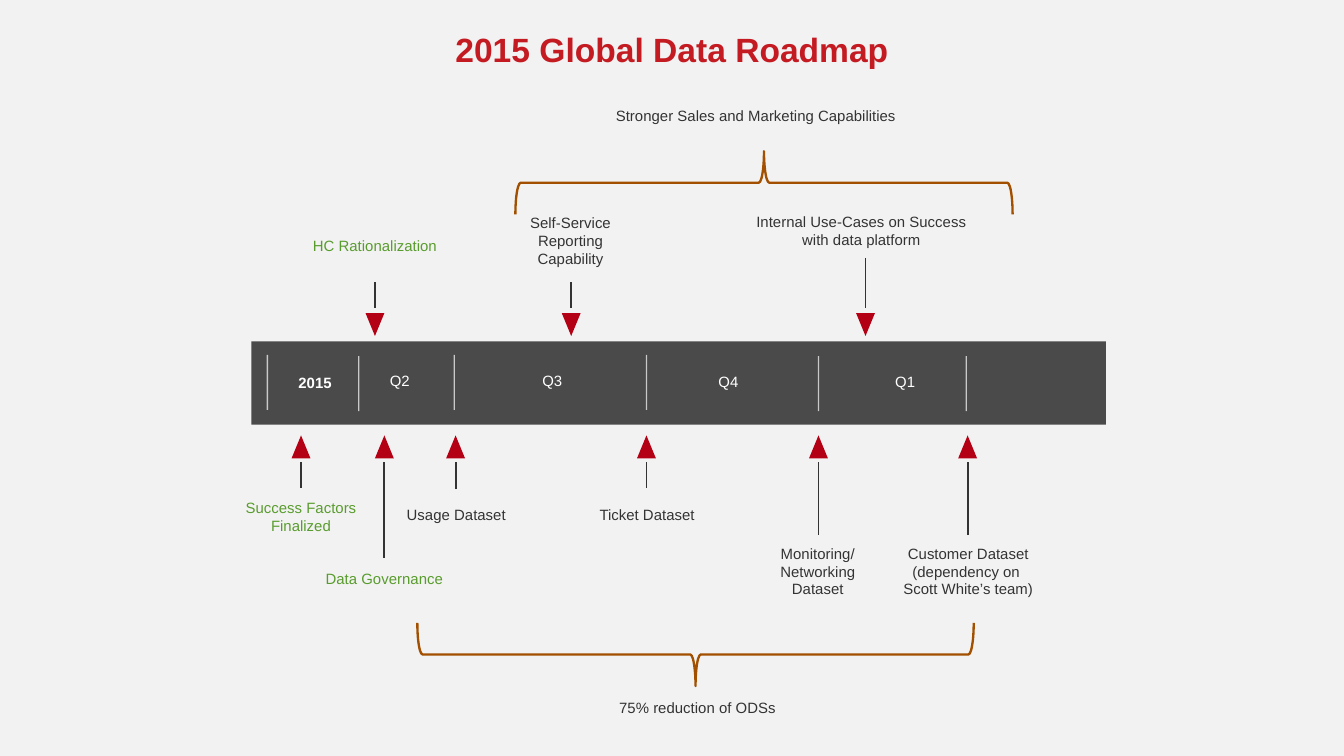
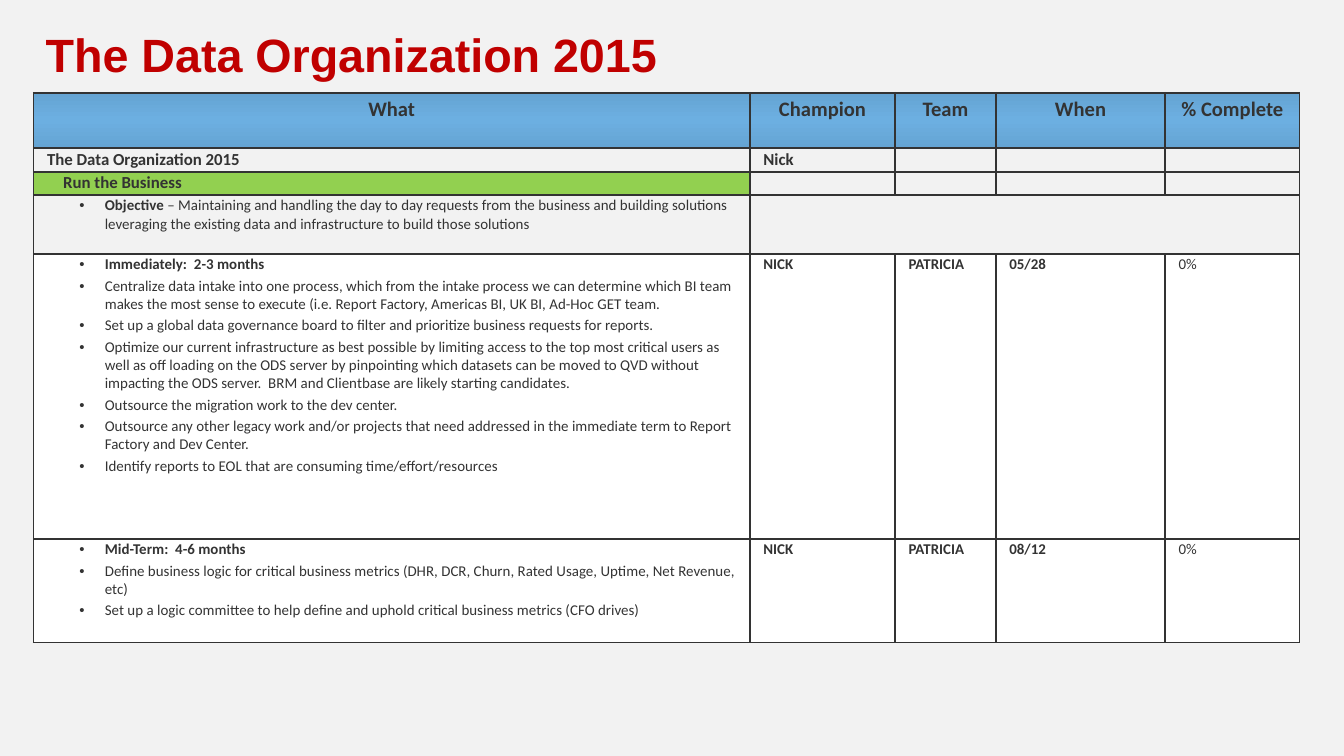
from dataclasses import dataclass

from lxml import etree
from pptx import Presentation
from pptx.dml.color import RGBColor
from pptx.enum.shapes import MSO_CONNECTOR, MSO_SHAPE
from pptx.enum.text import MSO_ANCHOR, MSO_AUTO_SIZE, PP_ALIGN
from pptx.oxml import parse_xml
from pptx.oxml.ns import nsdecls, qn
from pptx.util import Inches, Pt

CENTER, LEFT = PP_ALIGN.CENTER, PP_ALIGN.LEFT
TOP, MIDDLE = MSO_ANCHOR.TOP, MSO_ANCHOR.MIDDLE
STRAIGHT = MSO_CONNECTOR.STRAIGHT
RECTANGLE, TRIANGLE = MSO_SHAPE.RECTANGLE, MSO_SHAPE.ISOSCELES_TRIANGLE
BRACE = MSO_SHAPE.RIGHT_BRACE


@dataclass(frozen=True)
class Theme:
    background: str = "F2F2F2"
    roadmap_title: str = "C41B22"
    plan_title: str = "C00000"
    text: str = "333333"
    done: str = "599C2E"
    white: str = "FFFFFF"
    bar: str = "4B4A4A"
    marker: str = "B40014"
    brace: str = "A24F00"
    section: str = "92D050"
    header_edge: str = "65A4D3"
    header_middle: str = "6CAFE1"
    heading_font: str = "Arial"
    table_font: str = "Calibri"
    roadmap_title_size: int = 18
    plan_title_size: int = 25
    label_size: int = 8
    header_size: int = 11
    section_size: int = 9
    body_size: int = 8


theme = Theme()


def style_paragraph(paragraph, font_name, size, colour, bold=None, align=LEFT):
    paragraph.alignment = align
    paragraph.font.name = font_name
    paragraph.font.size = Pt(size)
    paragraph.font.bold = bold
    paragraph.font.color.rgb = RGBColor.from_string(colour)


def add_line(slide, x, start, end, colour, width):
    line = slide.shapes.add_connector(STRAIGHT, Inches(x), Inches(start), Inches(x), Inches(end))
    line.line.color.rgb = RGBColor.from_string(colour)
    line.line.width = Pt(width)
    etree.SubElement(line._element.spPr, qn("a:effectLst"))
    return line


presentation = Presentation()
presentation.slide_width = Inches(10)
presentation.slide_height = Inches(10 * 9 / 16)
background = presentation.slide_master.background.fill
background.solid()
background.fore_color.rgb = RGBColor.from_string(theme.background)

titles = [
    ("2015 Global Data Roadmap", (0, 0.22, 10, 0.36), theme.roadmap_title_size,
     theme.roadmap_title, CENTER, TOP, (0.06, 0.03), 0.9),
    ("The Data Organization 2015", (0.25, 0.12, 9, 0.56), theme.plan_title_size,
     theme.plan_title, LEFT, MIDDLE, (0.09, 0.04), 1.0),
]
slides = []
for text, box, size, colour, align, anchor, (side, edge), spacing in titles:
    slide = presentation.slides.add_slide(presentation.slide_layouts[5])
    title = slide.shapes.title
    title.left, title.top, title.width, title.height = [Inches(value) for value in box]
    frame = title.text_frame
    frame.text = text
    frame.auto_size = MSO_AUTO_SIZE.NONE
    frame.vertical_anchor = anchor
    frame.margin_left = frame.margin_right = Inches(side)
    frame.margin_top = frame.margin_bottom = Inches(edge)
    frame.paragraphs[0].line_spacing = spacing
    style_paragraph(frame.paragraphs[0], theme.heading_font, size, colour, True, align)
    slides.append(slide)
roadmap, plan = slides

bar = roadmap.shapes.add_shape(RECTANGLE, Inches(1.87), Inches(2.54), Inches(6.36), Inches(0.62))
bar.shadow.inherit = False
bar.fill.solid()
bar.fill.fore_color.rgb = RGBColor.from_string(theme.bar)
bar.line.fill.background()

ticks = [(1.99, 2.64), (2.67, 2.65), (3.38, 2.64), (4.81, 2.64), (6.09, 2.65), (7.19, 2.65)]
for x, top in ticks:
    tick = add_line(roadmap, x, top, top + 0.41, theme.white, 0.75)
    tick_colour = tick.line._ln.find(".//" + qn("a:srgbClr"))
    etree.SubElement(tick_colour, qn("a:alpha"), val="70000")

for left, top, width, rotation in ((4.94, 2.8, 4.14, 90), (5.45, -0.49, 3.7, 270)):
    brace = roadmap.shapes.add_shape(BRACE, Inches(left), Inches(top), Inches(0.47), Inches(width))
    brace.rotation = rotation
    brace.shadow.inherit = False
    brace.fill.background()
    brace.line.color.rgb = RGBColor.from_string(theme.brace)
    brace.line.width = Pt(1.25)

labels = [
    ("2015", 2.08, 2.78, 0.53, 0.13, theme.white),
    ("Q2", 2.35, 2.52, 1.25, 0.62, theme.white),
    ("Q3", 3.66, 2.52, 0.9, 0.62, theme.white),
    ("Q4", 4.97, 2.53, 0.9, 0.62, theme.white),
    ("Q1", 6.27, 2.53, 0.93, 0.62, theme.white),
    ("Stronger Sales and Marketing Capabilities", 3.89, 0.79, 3.47, 0.13, theme.text),
    ("HC Rationalization", 2.32, 1.76, 0.94, 0.13, theme.done),
    ("Self-Service Reporting Capability", 3.82, 1.59, 0.85, 0.4, theme.text),
    ("Internal Use-Cases on Success with data platform", 5.56, 1.58, 1.7, 0.27, theme.text),
    ("Success Factors Finalized", 1.77, 3.71, 0.94, 0.27, theme.done),
    ("Data Governance", 2.39, 4.24, 0.94, 0.13, theme.done),
    ("Usage Dataset", 2.97, 3.76, 0.85, 0.13, theme.text),
    ("Ticket Dataset", 4.39, 3.76, 0.85, 0.13, theme.text),
    ("Monitoring/ Networking Dataset", 5.66, 4.05, 0.85, 0.4, theme.text),
    ("Customer Dataset\v(dependency on \vScott White’s team)", 6.36, 4.05, 1.69, 0.4, theme.text),
    ("75% reduction of ODSs", 4.3, 5.2, 1.78, 0.13, theme.text),
]
for text, left, top, width, height, colour in labels:
    label = roadmap.shapes.add_textbox(Inches(left), Inches(top), Inches(width), Inches(height))
    frame = label.text_frame
    frame.word_wrap = True
    frame.margin_left = frame.margin_right = frame.margin_top = frame.margin_bottom = 0
    frame.vertical_anchor = MIDDLE if colour == theme.white else TOP
    frame.text = text
    style_paragraph(frame.paragraphs[0], theme.heading_font, theme.label_size, colour,
                    text == "2015", CENTER)

milestones = [
    (2.79, 2.1), (4.25, 2.1), (6.44, 1.92),
    (2.24, 3.63), (2.86, 4.15), (3.39, 3.64), (4.81, 3.63), (6.09, 3.98), (7.2, 3.98),
]
for x, start in milestones:
    above = start < 2.54
    add_line(roadmap, x, start, 2.29 if above else 3.44, theme.text, 1)
    marker = roadmap.shapes.add_shape(
        TRIANGLE, Inches(x - 0.07), Inches(2.33 if above else 3.24), Inches(0.14), Inches(0.17))
    marker.rotation = 180 if above else 0
    marker.shadow.inherit = False
    marker.fill.solid()
    marker.fill.fore_color.rgb = RGBColor.from_string(theme.marker)
    marker.line.fill.background()

objective = [
    ("Objective ", "– Maintaining and handling the day to day requests from the business and "
     "building solutions leveraging the existing data and infrastructure to build those solutions"),
]
immediate = [
    ("Immediately:  2-3 months", ""),
    ("", "Centralize data intake into one process, which from the intake process we can determine "
     "which BI team makes the most sense to execute (i.e. Report Factory, Americas BI, UK BI, "
     "Ad-Hoc GET team."),
    ("", "Set up a global data governance board to filter and prioritize business requests for "
     "reports."),
    ("", "Optimize our current infrastructure as best possible by limiting access to the top most "
     "critical users as well as off loading on the ODS server by pinpointing which datasets can be "
     "moved to QVD without impacting the ODS server.  BRM and Clientbase are likely starting "
     "candidates."),
    ("", "Outsource the migration work to the dev center."),
    ("", "Outsource any other legacy work and/or projects that need addressed in the immediate "
     "term to Report Factory and Dev Center."),
    ("", "Identify reports to EOL that are consuming time/effort/resources"),
]
mid_term = [
    ("Mid-Term:  4-6 months", ""),
    ("", "Define business logic for critical business metrics (DHR, DCR, Churn, Rated Usage, "
     "Uptime, Net Revenue, etc)"),
    ("", "Set up a logic committee to help define and uphold critical business metrics (CFO drives)"),
]
HEADER, SECTION, DETAIL = 0, 2, 3
rows = [
    [[(text, "")] for text in ("What", "Champion", "Team", "When", "% Complete")],
    [[("The Data Organization 2015", "")], [("Nick", "")], [], [], []],
    [[("Run the Business", "")], [], [], [], []],
    [objective, [], [], [], []],
    [immediate, [("Nick", "")], [("Patricia", "")], [("05/28", "")], [("", "0%")]],
    [mid_term, [("Nick", "")], [("Patricia", "")], [("08/12", "")], [("", "0%")]],
]
column_widths = (5.33, 1.08, 0.75, 1.26, 1)
row_heights = (0.41, 0.18, 0.17, 0.44, 2.12, 0.77)

table = plan.shapes.add_table(
    len(rows), len(column_widths), Inches(0.25), Inches(0.69), Inches(9.42), Inches(4.1)).table
table.first_row = table.horz_banding = False
for column, width in zip(table.columns, column_widths):
    column.width = Inches(width)
for row, height in zip(table.rows, row_heights):
    row.height = Inches(height)

for row_index, row in enumerate(rows):
    for column_index, entries in enumerate(row):
        cell = table.cell(row_index, column_index)
        cell.margin_left = cell.margin_right = Inches(0.1)
        cell.margin_top = cell.margin_bottom = Inches(0.03 if row_index == HEADER else 0.01)
        properties = cell._tc.get_or_add_tcPr()
        for side in "LRTB":
            properties.append(parse_xml(
                f'<a:ln{side} {nsdecls("a")} w="12700"><a:solidFill>'
                f'<a:srgbClr val="{theme.text}"/></a:solidFill></a:ln{side}>'))
        if row_index == HEADER:
            stops = "".join(
                f'<a:gs pos="{position}"><a:srgbClr val="{colour}"/></a:gs>'
                for position, colour in ((0, theme.header_edge), (50000, theme.header_middle),
                                         (100000, theme.header_edge)))
            properties.append(parse_xml(
                f'<a:gradFill {nsdecls("a")}><a:gsLst>{stops}</a:gsLst>'
                '<a:lin ang="5400000" scaled="0"/></a:gradFill>'))
        elif row_index > DETAIL or (row_index, column_index) == (SECTION, 0):
            cell.fill.solid()
            cell.fill.fore_color.rgb = RGBColor.from_string(
                theme.white if row_index > DETAIL else theme.section)
        else:
            cell.fill.background()

        size = (theme.header_size if row_index == HEADER
                else theme.section_size if row_index < DETAIL else theme.body_size)
        frame = cell.text_frame
        for entry_index, (strong, plain) in enumerate(entries):
            paragraph = frame.add_paragraph() if entry_index else frame.paragraphs[0]
            for text, bold in ((strong, True), (plain, False)):
                if text:
                    run = paragraph.add_run()
                    run.text = text
                    run.font.bold = bold
                    if row_index > DETAIL and column_index in (1, 2):
                        run.font._element.set("cap", "all")
            if entry_index:
                paragraph.space_before = Pt(1.6)
            if column_index == 0 and row_index >= SECTION:
                paragraph.level = 1
                bulleted = row_index >= DETAIL
                indent = paragraph._p.get_or_add_pPr()
                indent.set("marL", str(Inches(0.43 if bulleted else 0.12)))
                indent.set("indent", str(Inches(-0.19 if bulleted else 0)))
                if bulleted:
                    etree.SubElement(indent, qn("a:buFont"), typeface=theme.heading_font)
                    etree.SubElement(indent, qn("a:buChar"), char="•")
                else:
                    paragraph.line_spacing = 0.9
            style_paragraph(paragraph, theme.table_font, size, theme.text,
                            align=CENTER if row_index == HEADER else LEFT)
        if not entries:
            style_paragraph(frame.paragraphs[0], theme.table_font, size, theme.text)
            etree.SubElement(frame.paragraphs[0]._p, qn("a:endParaRPr"), sz=str(size * 100))

table.cell(DETAIL, 1).merge(table.cell(DETAIL, 4))

presentation.save("out.pptx")
